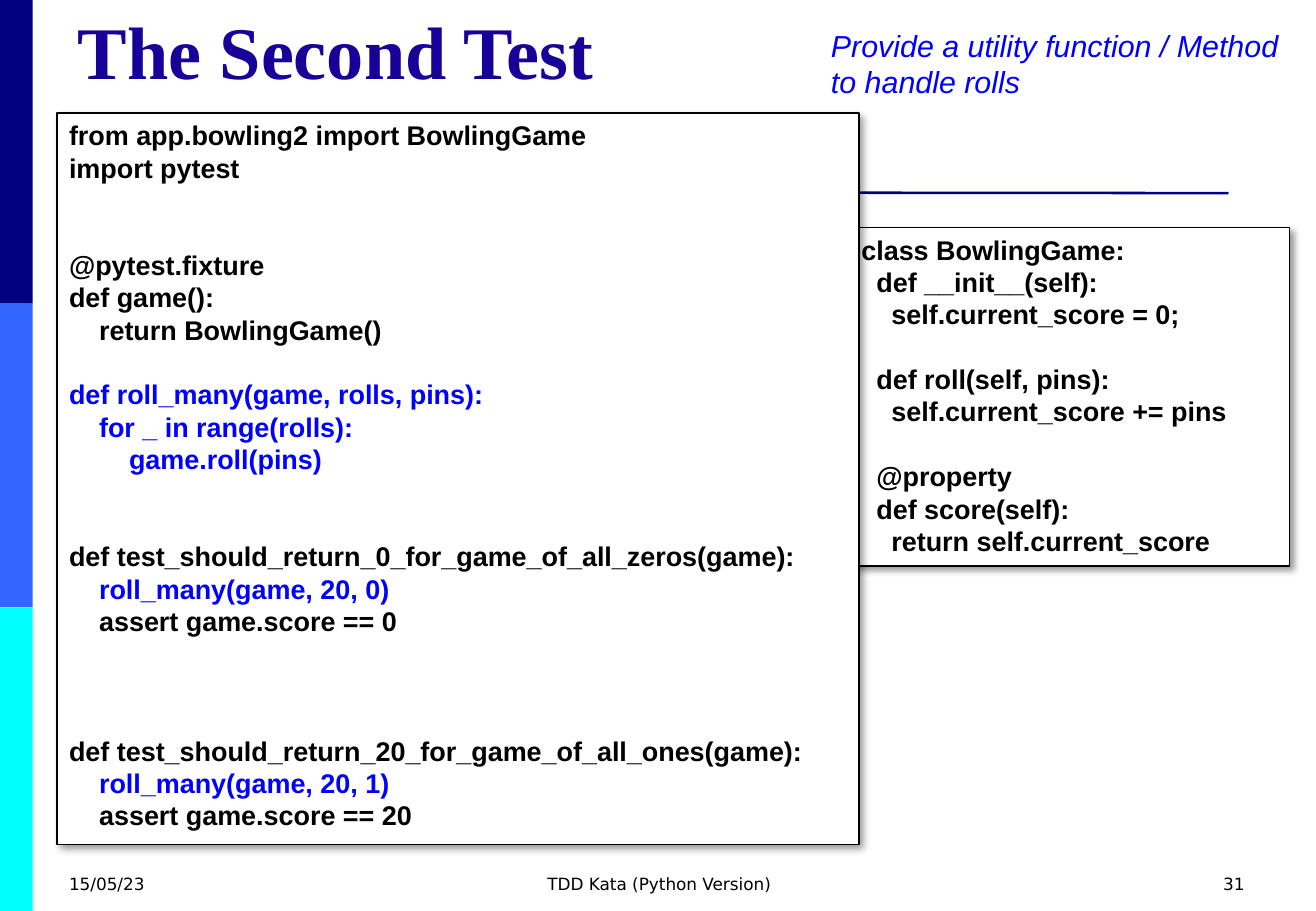
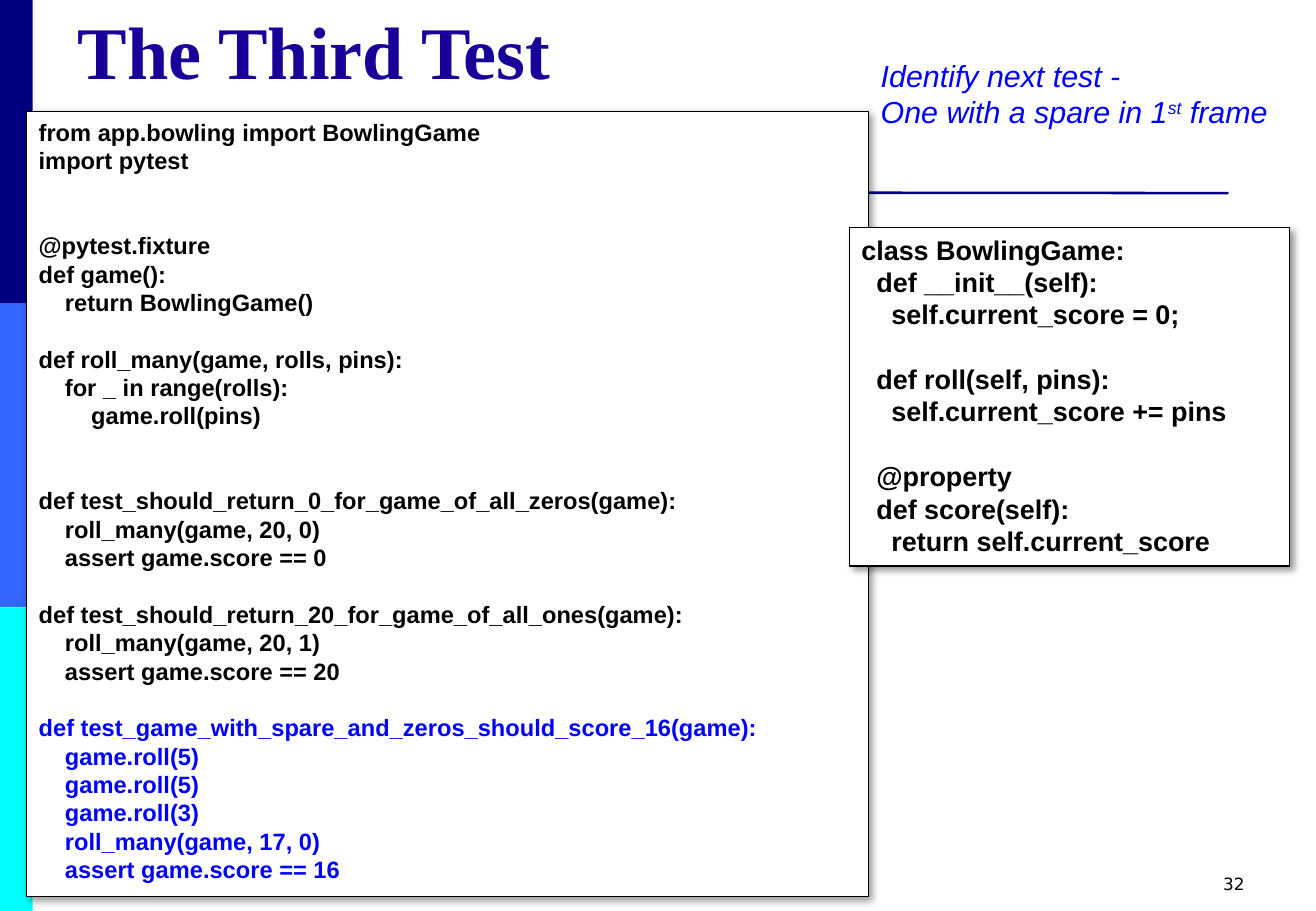
from lxml import etree
from pptx import Presentation
from pptx.dml.color import RGBColor
from pptx.enum.shapes import MSO_CONNECTOR, MSO_SHAPE
from pptx.enum.text import MSO_ANCHOR, PP_ALIGN
from pptx.oxml import parse_xml
from pptx.oxml.ns import nsdecls, qn
from pptx.util import Inches, Pt

NAVY = RGBColor(0x00, 0x00, 0x80)
MID_BLUE = RGBColor(0x33, 0x66, 0xFF)
CYAN = RGBColor(0x00, 0xFF, 0xFF)
TITLE_BLUE = RGBColor(0x17, 0x01, 0x99)
BLUE = RGBColor(0x00, 0x00, 0xFF)
BLACK = RGBColor(0x00, 0x00, 0x00)
WHITE = RGBColor(0xFF, 0xFF, 0xFF)

SERIF, SANS, FOOTER_FONT = "Times New Roman", "Arial", "DejaVu Sans"
LINE_HEIGHT = 1.2     # of the text size
SPACE_WIDTH = 0.278   # of the text size
CLASS_BOX = (6.99, 1.87, 3.62, 2.79)

# Code listings: blocks of (blank lines before, text)
FIXTURE = """@pytest.fixture
def game():
    return BowlingGame()"""
ROLL_MANY = """def roll_many(game, rolls, pins):
    for _ in range(rolls):
        game.roll(pins)"""
TEST_ZEROS = """def test_should_return_0_for_game_of_all_zeros(game):
    roll_many(game, 20, 0)
    assert game.score == 0"""
TEST_ONES = """def test_should_return_20_for_game_of_all_ones(game):
    roll_many(game, 20, 1)
    assert game.score == 20"""
TEST_SPARE = """def test_game_with_spare_and_zeros_should_score_16(game):
    game.roll(5)
    game.roll(5)
    game.roll(3)
    roll_many(game, 17, 0)
    assert game.score == 16"""
GAME_CLASS = [
    (0, """class BowlingGame:
  def __init__(self):
    self.current_score = 0;"""),
    (1, """  def roll(self, pins):
    self.current_score += pins"""),
    (1, """  @property
  def score(self):
    return self.current_score"""),
]


def test_listing(module, ones_gap):
    """The listing that the slides share, with its import and last gap."""
    return [(0, f"from {module} import BowlingGame\nimport pytest"),
            (2, FIXTURE), (1, ROLL_MANY), (2, TEST_ZEROS), (ones_gap, TEST_ONES)]


def set_font(p, name, size, color, bold=False, italic=False):
    f = p.font
    f.name, f.size, f.bold, f.italic = name, Pt(size), bold, italic
    f.color.rgb = color


def add_text_box(s, box):
    tf = s.shapes.add_textbox(*map(Inches, box)).text_frame
    tf.word_wrap = True
    return tf


def add_frame(s):
    """Side bands and the rule under the title."""
    for i, color in enumerate((NAVY, MID_BLUE, CYAN)):
        band = s.shapes.add_shape(MSO_SHAPE.RECTANGLE, 0, Inches(2.5 * i),
                                  Inches(0.27), Inches(2.5))
        band.shadow.inherit = False
        band.fill.solid()
        band.fill.fore_color.rgb = color
        band.line.fill.background()
    rule = s.shapes.add_connector(MSO_CONNECTOR.STRAIGHT, Inches(0.54), Inches(1.58),
                                  Inches(10.11), Inches(1.59))
    rule.line.color.rgb = NAVY
    rule.line.width = Pt(1.5)
    etree.SubElement(rule._element.spPr, qn("a:effectLst"))


def add_title(s, text):
    tf = add_text_box(s, (0.54, 0.3, 9.75, 0.53))
    tf.vertical_anchor = MSO_ANCHOR.BOTTOM
    p = tf.paragraphs[0]
    p.text = text
    set_font(p, SERIF, 44, TITLE_BLUE, bold=True)


def add_footer(s, number, caption=None):
    fields = [(0.47, 2.53, "15/05/23", PP_ALIGN.LEFT),
              (3.71, 3.43, caption, PP_ALIGN.CENTER),
              (7.81, 2.53, str(number), PP_ALIGN.RIGHT)]
    for left, width, text, align in fields:
        if text:
            p = add_text_box(s, (left, 7.14, width, 0.36)).paragraphs[0]
            p.text, p.alignment = text, align
            set_font(p, FOOTER_FONT, 10, BLACK)


def add_note(s, box, lines, wrap=True):
    """Italic remark; each line is a list of (text, is superscript)."""
    tf = add_text_box(s, box)
    tf.word_wrap = wrap
    for i, parts in enumerate(lines):
        p = tf.add_paragraph() if i else tf.paragraphs[0]
        p.line_spacing = Pt(18 * LINE_HEIGHT)
        set_font(p, SANS, 18, BLUE, italic=True)
        for text, superscript in parts:
            r = p.add_run()
            r.text = text
            if superscript:
                r.font._element.set("baseline", "30000")


def add_code_box(s, box, size, blocks, blue=()):
    """Shadowed code listing; blue holds the numbers of the blue lines."""
    sp = s.shapes.add_shape(MSO_SHAPE.RECTANGLE, *map(Inches, box))
    sp.fill.solid()
    sp.fill.fore_color.rgb = WHITE
    sp.line.color.rgb = BLACK
    sp.line.width = Pt(0.75)
    sp.shadow.inherit = False
    sp._element.spPr.find(qn("a:effectLst")).append(parse_xml(
        f'<a:outerShdw {nsdecls("a")} blurRad="50800" dist="38100" dir="2700000" '
        'algn="tl" rotWithShape="0"><a:srgbClr val="000000"><a:alpha val="40000"/>'
        '</a:srgbClr></a:outerShdw>'))

    tf = sp.text_frame
    tf.word_wrap = True
    tf.vertical_anchor = MSO_ANCHOR.TOP
    lines = [(0 if i else gap, line) for gap, text in blocks
             for i, line in enumerate(text.split("\n"))]
    for n, (gap, line) in enumerate(lines):
        p = tf.add_paragraph() if n else tf.paragraphs[0]
        p.text = line.lstrip()
        p.alignment = PP_ALIGN.LEFT
        p.line_spacing = Pt(size * LINE_HEIGHT)
        p.space_before = Pt(gap * size * LINE_HEIGHT)
        indent = Pt((len(line) - len(p.text)) * SPACE_WIDTH * size)
        pPr = p._p.get_or_add_pPr()
        pPr.set("marL", str(indent))
        pPr.set("indent", "0")
        set_font(p, SANS, size, BLUE if n in blue else BLACK, bold=True)


def new_slide(prs, title, number, caption=None):
    s = prs.slides.add_slide(prs.slide_layouts[6])
    add_frame(s)
    add_title(s, title)
    add_footer(s, number, caption)
    return s


def second_test(prs):
    s = new_slide(prs, "The Second Test", 31, "TDD Kata (Python Version)")
    add_note(s, (6.74, 0.17, 4.09, 0.71),
             [[("Provide a utility function / Method to handle rolls", False)]])
    add_code_box(s, CLASS_BOX, 16, GAME_CLASS)
    add_code_box(s, (0.47, 0.93, 6.6, 6.02), 16, test_listing("app.bowling2", 3),
                 blue=(5, 6, 7, 9, 12))


def third_test(prs):
    s = new_slide(prs, "The Third Test", 32)
    add_note(s, (7.15, 0.42, 3.43, 0.71),
             [[("Identify next test -", False)],
              [("One with a spare in 1", False), ("st", True), (" frame", False)]],
             wrap=False)
    add_code_box(s, (0.22, 0.92, 6.93, 6.46), 14,
                 test_listing("app.bowling", 1) + [(1, TEST_SPARE)],
                 blue=range(14, 20))
    add_code_box(s, CLASS_BOX, 16, GAME_CLASS)


def main():
    prs = Presentation()
    prs.slide_width, prs.slide_height = Inches(10.83), Inches(7.5)
    second_test(prs)
    third_test(prs)
    prs.save("out.pptx")


if __name__ == "__main__":
    main()
